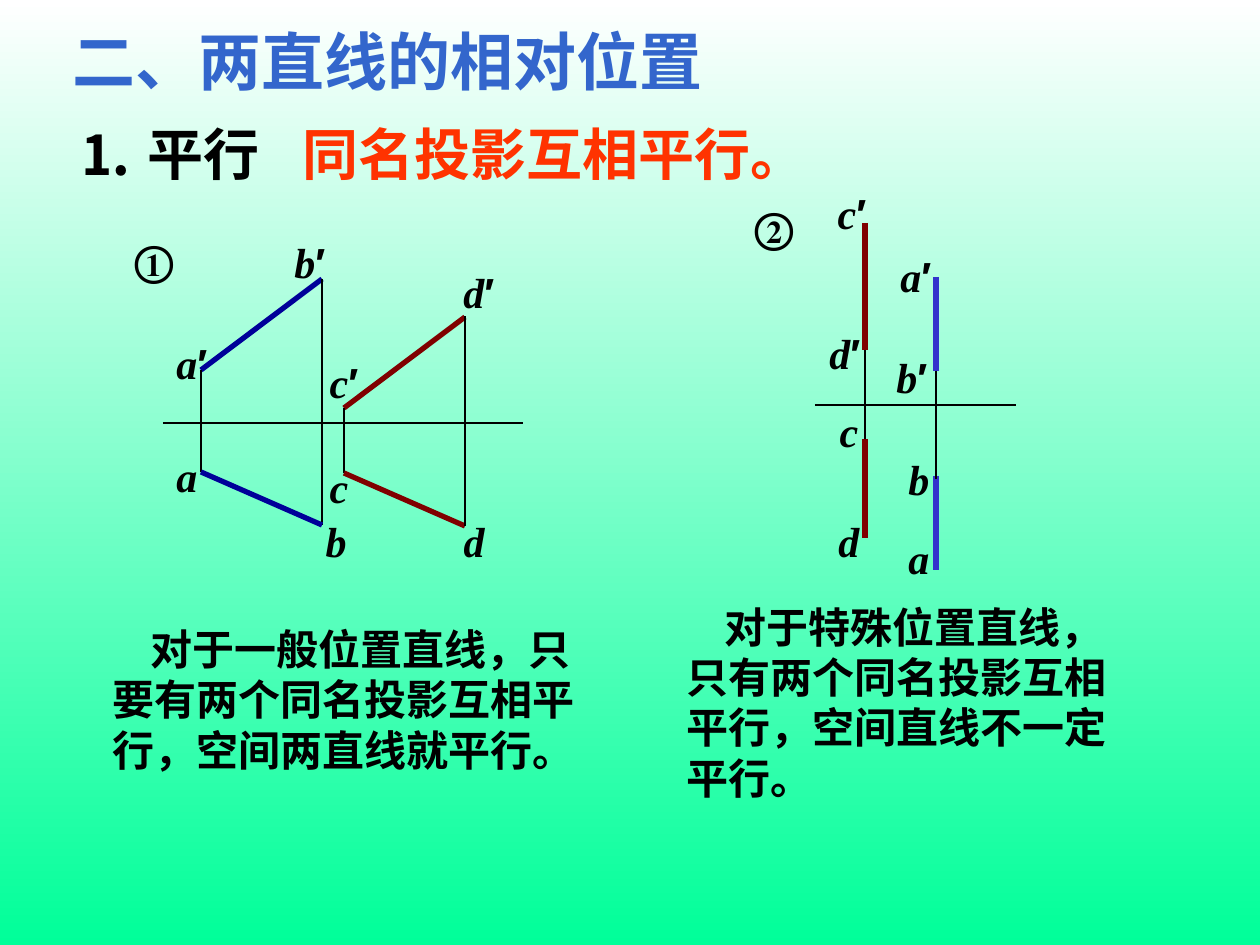
import pptx
import pptx.util
import pptx.dml.color
import pptx.enum.shapes
import pptx.enum.text
import pptx.oxml
import pptx.oxml.ns

SCALE = 914400 / 126
LEFT = pptx.enum.text.PP_ALIGN.LEFT
CENTER = pptx.enum.text.PP_ALIGN.CENTER
TOP = pptx.enum.text.MSO_ANCHOR.TOP
MIDDLE = pptx.enum.text.MSO_ANCHOR.MIDDLE
BLACK, NAVY, MAROON, BLUE = "000000", "000099", "800000", "3333CC"


def color(value):
    return pptx.dml.color.RGBColor.from_string(value)


def write(shape, box, text, size, ink, align=LEFT, anchor=TOP, wrap=True, indent=0):
    shape.left, shape.top, shape.width, shape.height = [round(n * SCALE) for n in box]
    frame = shape.text_frame
    frame.word_wrap = wrap
    frame.vertical_anchor = anchor
    frame.auto_size = pptx.enum.text.MSO_AUTO_SIZE.NONE
    paragraph = frame.paragraphs[0]
    paragraph.alignment = align
    if indent:
        paragraph._p.get_or_add_pPr().set("indent", str(round(indent * SCALE)))
    paragraph.font.size = pptx.util.Pt(size)
    paragraph.font.bold = True
    paragraph.font.color.rgb = color(ink)
    for part in text.partition("′"):
        if part:
            run = paragraph.add_run()
            run.text = part
            run.font.name = "Arial" if part == "′" else "Times New Roman"
            run.font.italic = part in "abcd"
            east_asian = pptx.oxml.parse_xml(
                f'<a:ea {pptx.oxml.ns.nsdecls("a")} typeface="Noto Sans CJK SC"/>')
            run.font._element.append(east_asian)


presentation = pptx.Presentation()
presentation.slide_width = round(1260 * SCALE)
presentation.slide_height = round(945 * SCALE)
slide = presentation.slides.add_slide(presentation.slide_layouts[5])

background = slide.background.fill
background.gradient()
background.gradient_angle = 270
for stop, position, value in zip(background.gradient_stops, (0, 1), ("FFFFFF", "00FF99")):
    stop.position = position
    stop.color.rgb = color(value)

write(slide.shapes.title, (60, 16, 700, 88), "二、两直线的相对位置", 36, "3366CC")

statements = [
    ((66, 113, 224, 81), "⒈ 平行", 32, BLACK, TOP, 0),
    ((290, 113, 654, 81), "同名投影互相平行。", 32, "FF3300", TOP, 0),
    ((100, 617, 491, 164), "对于一般位置直线，只要有两个同名投影互相平行，空间两直线就平行。",
     24, BLACK, MIDDLE, 38),
    ((674, 595, 471, 214), "对于特殊位置直线，只有两个同名投影互相平行，空间直线不一定平行。",
     24, BLACK, MIDDLE, 38),
]
for box, text, size, ink, anchor, indent in statements:
    write(slide.shapes.add_textbox(0, 0, 0, 0), box, text, size, ink,
          anchor=anchor, indent=indent)

general_lines = [
    (163, 423, 523, 423, BLACK),
    (201, 370, 322, 279, NAVY),
    (344, 408, 465, 317, MAROON),
    (201, 370, 201, 472, BLACK),
    (322, 279, 322, 525, BLACK),
    (344, 408, 344, 473, BLACK),
    (201, 472, 322, 525, NAVY),
    (344, 473, 465, 526, MAROON),
    (465, 526, 465, 316, BLACK),
]
general_labels = [
    ("①", 154, 260), ("a′", 192, 363), ("b′", 310, 262), ("c′", 344, 382), ("d′", 479, 292),
    ("a", 187, 476), ("b", 336, 541), ("c", 339, 487), ("d", 474, 541),
]
special_lines = [
    (936, 476, 936, 570, BLUE),
    (815, 405, 1016, 405, BLACK),
    (865, 223, 865, 350, MAROON),
    (865, 350, 865, 439, BLACK),
    (865, 439, 865, 538, MAROON),
    (936, 277, 936, 371, BLUE),
    (936, 371, 936, 479, BLACK),
]
special_labels = [
    ("②", 774, 227), ("a′", 916, 276), ("b′", 912, 377), ("c′", 852, 213), ("d′", 845, 353),
    ("a", 919, 558), ("b", 919, 479), ("c", 849, 431), ("d", 849, 541),
]

for lines, labels in ((general_lines, general_labels), (special_lines, special_labels)):
    figure = slide.shapes.add_group_shape()
    for *ends, ink in lines:
        line = figure.shapes.add_connector(
            pptx.enum.shapes.MSO_CONNECTOR.STRAIGHT, *[round(n * SCALE) for n in ends])
        line.line.color.rgb = color(ink)
        line.line.width = pptx.util.Pt(1.5 if ink == BLACK else 3)
        line._element.spPr.append(
            pptx.oxml.parse_xml(f'<a:effectLst {pptx.oxml.ns.nsdecls("a")}/>'))
    for text, x, y in labels:
        width = 46 if text in "abcd" else 62
        write(figure.shapes.add_textbox(0, 0, 0, 0), (x - width / 2, y - 32, width, 64),
              text, 24, BLACK, CENTER, MIDDLE, wrap=False)

presentation.save("out.pptx")
